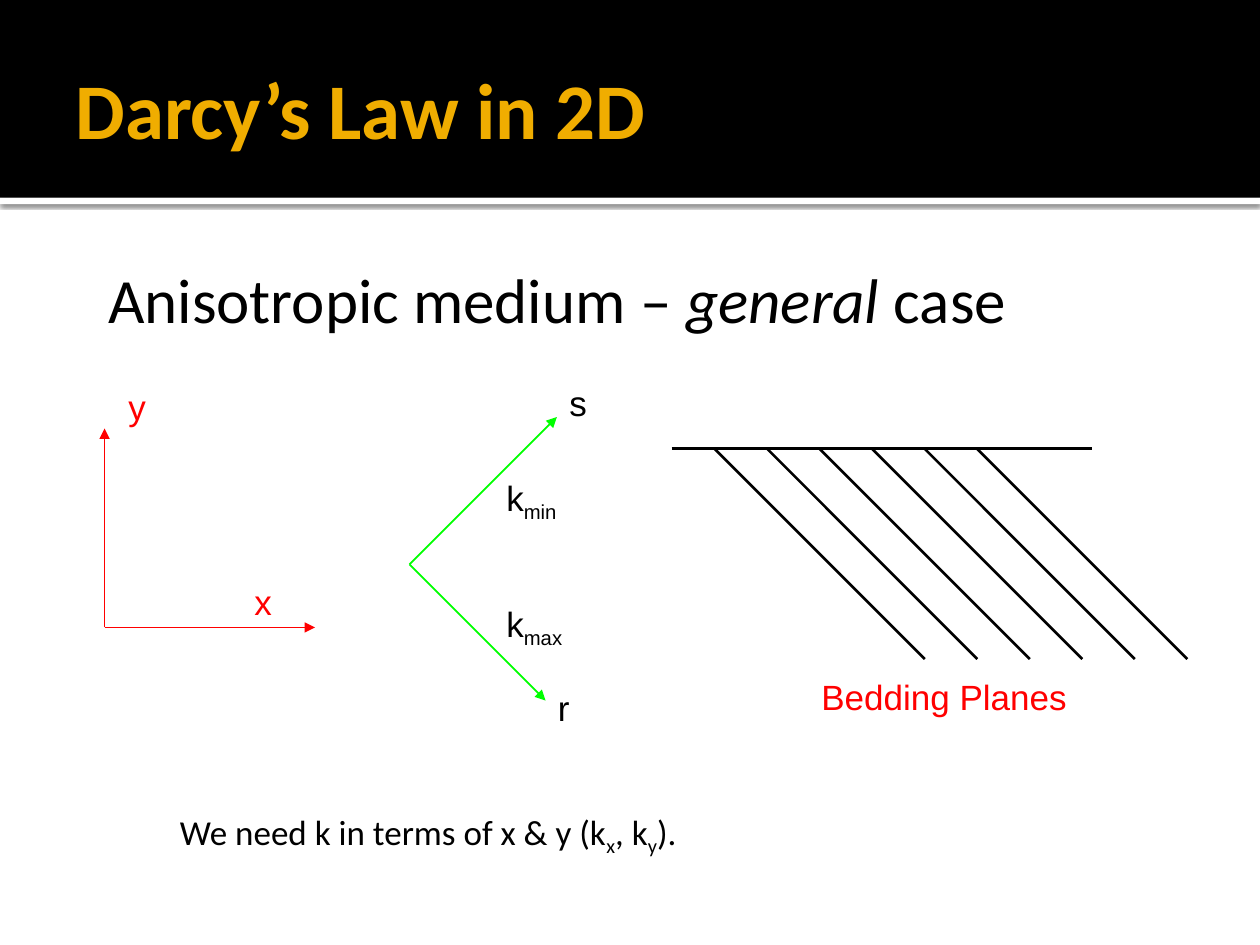
from lxml import etree
from pptx import Presentation
from pptx.dml.color import RGBColor
from pptx.enum.shapes import MSO_CONNECTOR, MSO_SHAPE
from pptx.enum.text import MSO_ANCHOR as ANCHOR, MSO_AUTO_SIZE as AUTO, PP_ALIGN
from pptx.oxml.ns import qn
from pptx.util import Inches, Pt

BLACK = RGBColor(0, 0, 0)
WHITE = RGBColor(255, 255, 255)
GOLD = RGBColor(0xF0, 0xAD, 0)
RED = RGBColor(255, 0, 0)
GREEN = RGBColor(0, 255, 0)


class SlideBuilder:
    def __init__(self, slide, font="Arial", size=20):
        self.slide = slide
        self.shapes = slide.shapes
        self.font = font
        self.size = size

    def band(self, top, height, color):
        sp = self.shapes.add_shape(
            MSO_SHAPE.RECTANGLE, 0, Inches(top), Inches(10), Inches(height))
        sp.shadow.inherit = False
        sp.fill.solid()
        sp.fill.fore_color.rgb = color
        sp.line.fill.background()
        return sp

    def drop_shadow(self, sp, blur, dist, alpha):
        """Cast a black shadow straight down; blur and dist in points."""
        effects = sp._element.spPr.find(qn("a:effectLst"))
        shadow = etree.SubElement(
            effects, qn("a:outerShdw"), blurRad=str(Pt(blur)),
            dist=str(Pt(dist)), dir="5400000", algn="tl", rotWithShape="0")
        color = etree.SubElement(shadow, qn("a:srgbClr"), val=str(BLACK))
        etree.SubElement(color, qn("a:alpha"), val=str(alpha * 1000))

    def title(self, text):
        sp = self.shapes.title
        sp.left, sp.top, sp.width, sp.height = map(
            Inches, (0.5, 0.17, 9, 1.37))
        tf = sp.text_frame
        tf.text = text
        tf.vertical_anchor = ANCHOR.MIDDLE
        tf.margin_right = Inches(0.05)
        p = tf.paragraphs[0]
        p.alignment = PP_ALIGN.LEFT
        self.style(p.runs[0], "Calibri", 45, GOLD)
        p.runs[0].font.bold = True
        self.shapes._spTree.append(sp._element)  # in front of the bands

    def style(self, r, font, size, color):
        r.font.name = font
        r.font.size = Pt(size)
        r.font.color.rgb = color

    def text(self, box, *parts, color=BLACK, font=None, size=None,
             wrap=True, anchor=ANCHOR.TOP):
        """Add a text box; a part is a string or a (string, "sub"/"italic") pair."""
        tf = self.shapes.add_textbox(*map(Inches, box)).text_frame
        tf.word_wrap = wrap
        tf.auto_size = AUTO.SHAPE_TO_FIT_TEXT
        tf.vertical_anchor = anchor
        p = tf.paragraphs[0]
        for part in parts:
            words, look = (part, None) if isinstance(part, str) else part
            r = p.add_run()
            r.text = words
            self.style(r, font or self.font, size or self.size, color)
            if look == "italic":
                r.font.italic = True
            elif look == "sub":
                r.font._element.set("baseline", "-25000")

    def line(self, start, end, color=BLACK, width=1.5, arrow=False):
        cxn = self.shapes.add_connector(
            MSO_CONNECTOR.STRAIGHT, *map(Inches, (*start, *end)))
        cxn.line.color.rgb = color
        cxn.line.width = Pt(width)
        if arrow:
            etree.SubElement(cxn.line._get_or_add_ln(), qn("a:tailEnd"),
                             type="triangle")
        etree.SubElement(cxn._element.spPr, qn("a:effectLst"))

    def axes(self, origin, ends, color):
        for end in ends:
            self.line(origin, end, color, width=1, arrow=True)


def main():
    prs = Presentation()
    prs.slide_width, prs.slide_height = Inches(10), Inches(7.5)
    s = SlideBuilder(prs.slides.add_slide(prs.slide_layouts[5]))

    strip = s.band(1.57, 0.05, WHITE)
    s.drop_shadow(strip, blur=2.5, dist=0.8, alpha=60)
    s.band(0, 1.57, BLACK)
    s.title("Darcy’s Law in 2D")

    s.text((0.76, 2.02, 7.5, 0.71), "Anisotropic medium – ",
           ("general", "italic"), " case", font="Calibri", size=36)

    s.axes((3.25, 4.48), [(4.42, 3.31), (4.33, 5.56)], GREEN)
    s.axes((0.83, 4.98), [(0.83, 3.4), (2.5, 4.98)], RED)
    for name, left, top, color in [("s", 4.42, 2.98, BLACK),
                                   ("r", 4.33, 5.4, BLACK),
                                   ("y", 0.92, 3.01, RED),
                                   ("x", 1.92, 4.56, RED)]:
        s.text((left, top, 0.42, 0.43), name, color=color)
    for limit, top in [("min", 3.73), ("max", 4.73)]:
        s.text((3.92, top, 0.83, 0.43), "k", (limit, "sub"))

    surface, depth = 3.56, 1.67
    s.line((5.33, surface), (8.67, surface))
    for i in range(6):
        x = 5.67 + i * 5 / 12
        s.line((x, surface), (x + depth, surface + depth))
    s.text((6.42, 5.31, 2.58, 0.43), "Bedding Planes", color=RED)

    s.text((1.33, 6.4, 4.2, 0.44), "We need k in terms of x & y (k",
           ("x", "sub"), ", k", ("y", "sub"), ").",
           font="Calibri", wrap=False, anchor=ANCHOR.MIDDLE)

    prs.save("out.pptx")


if __name__ == "__main__":
    main()
